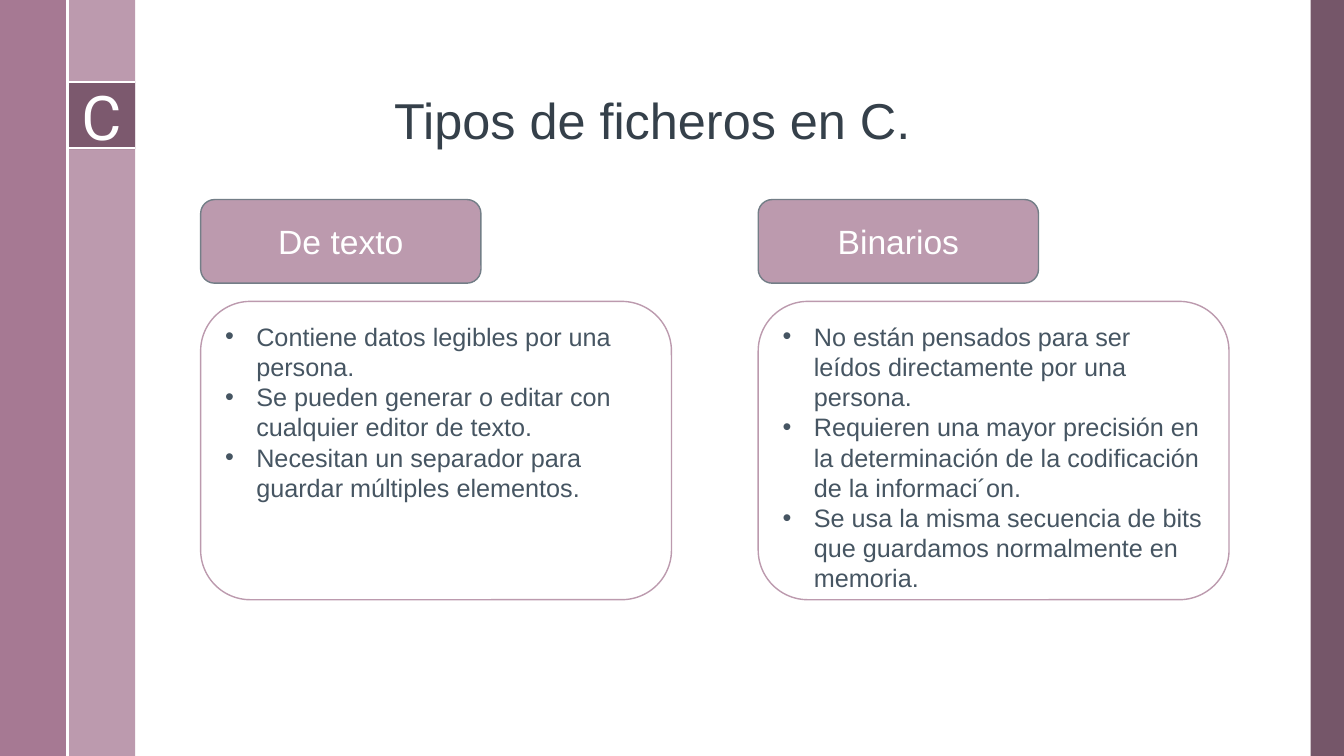
"""Build the slide on text and binary files in C."""
from lxml.etree import SubElement
from pptx import Presentation
from pptx.dml.color import RGBColor
from pptx.enum.shapes import MSO_CONNECTOR as LINK, MSO_SHAPE as SHAPE
from pptx.enum.text import MSO_ANCHOR as ANCHOR, MSO_AUTO_SIZE as FIT, PP_ALIGN as ALIGN
from pptx.oxml.ns import qn
from pptx.util import Inches, Pt

WHITE = RGBColor(0xFF, 0xFF, 0xFF)
PLUM = RGBColor(0x67, 0x44, 0x59)
MAUVE = RGBColor(0x9A, 0x67, 0x85)
ROSE = RGBColor(0xBC, 0x9A, 0xAE)
SLATE = RGBColor(0x73, 0x7E, 0x87)
INK = RGBColor(0x35, 0x40, 0x4A)
GREY = RGBColor(0x46, 0x55, 0x62)


def write(shape, lines, size, color, font="Arial", align=ALIGN.CENTER,
          anchor=ANCHOR.MIDDLE, bullet=False, space=1.0):
    frame = shape.text_frame
    frame.word_wrap = True
    frame.auto_size = FIT.NONE
    frame.vertical_anchor = anchor
    for i, line in enumerate(lines):
        para = frame.paragraphs[0] if i == 0 else frame.add_paragraph()
        para.alignment = align
        para.line_spacing = space
        if bullet:
            props = para._p.get_or_add_pPr()
            props.set("marL", str(Inches(0.31)))
            props.set("indent", str(Inches(-0.31)))
            SubElement(props, qn("a:buFont")).set("typeface", "Arial")
            SubElement(props, qn("a:buChar")).set("char", "•")
        run = para.add_run()
        run.text = line
        run.font.name = font
        run.font.size = Pt(size)
        run.font.color.rgb = color


def draw(shapes, kind, box, fill, line=None, alpha=100):
    shape = shapes.add_shape(kind, *map(Inches, box))
    shape.shadow.inherit = False
    shape.fill.solid()
    shape.fill.fore_color.rgb = fill
    if alpha < 100:
        tint = shape.fill._xPr.find(qn("a:solidFill"))[0]
        SubElement(tint, qn("a:alpha")).set("val", str(alpha * 1000))
    if line is None:
        shape.line.fill.background()
    else:
        shape.line.color.rgb = line
        shape.line.width = Pt(1)
    return shape


deck = Presentation()
deck.slide_width = Inches(13.33)
deck.slide_height = Inches(7.5)
slide = deck.slides.add_slide(deck.slide_layouts[5])
shapes = slide.shapes

draw(shapes, SHAPE.RECTANGLE, (13, 0, 0.33, 7.5), PLUM, alpha=90)
draw(shapes, SHAPE.RECTANGLE, (0.67, 0, 0.67, 7.5), ROSE)
draw(shapes, SHAPE.RECTANGLE, (0, 0, 0.67, 7.5), MAUVE, alpha=88)
badge = draw(shapes, SHAPE.RECTANGLE, (0.67, 0.81, 0.67, 0.67), PLUM, alpha=75)
write(badge, ["C"], 44, WHITE, font="Roboto")

for ends in [(0.67, 0.81, 1.34, 0.81), (0.67, 1.47, 1.34, 1.47), (0.67, 0, 0.67, 7.5)]:
    rule = shapes.add_connector(LINK.STRAIGHT, *map(Inches, ends))
    rule.line.color.rgb = WHITE
    rule.line.width = Pt(1.5)
    SubElement(rule._element.spPr, qn("a:effectLst"))

title = shapes.title
title.left, title.top = Inches(3.81), Inches(0.18)
title.width, title.height = Inches(5.72), Inches(1.36)
write(title, ["Tipos de ficheros en C."], 36, INK, align=ALIGN.LEFT,
      anchor=ANCHOR.BOTTOM, space=0.9)

cards = [
    (1.99, "De texto", [
        "Contiene datos legibles por una persona.",
        "Se pueden generar o editar con cualquier editor de texto.",
        "Necesitan un separador para guardar múltiples elementos.",
    ]),
    (7.52, "Binarios", [
        "No están pensados para ser leídos directamente por una persona.",
        "Requieren una mayor precisión en la determinación de la codificación de la informaci´on.",
        "Se usa la misma secuencia de bits que guardamos normalmente en memoria.",
    ]),
]
for left, name, points in cards:
    group = shapes.add_group_shape().shapes
    head = draw(group, SHAPE.ROUNDED_RECTANGLE, (left, 1.98, 2.78, 0.83), ROSE, SLATE)
    write(head, [name], 24, WHITE)
    body = draw(group, SHAPE.ROUNDED_RECTANGLE, (left, 2.99, 4.67, 2.96), WHITE, ROSE)
    write(body, points, 18, GREY, align=ALIGN.LEFT, anchor=ANCHOR.TOP, bullet=True)

deck.save("out.pptx")
